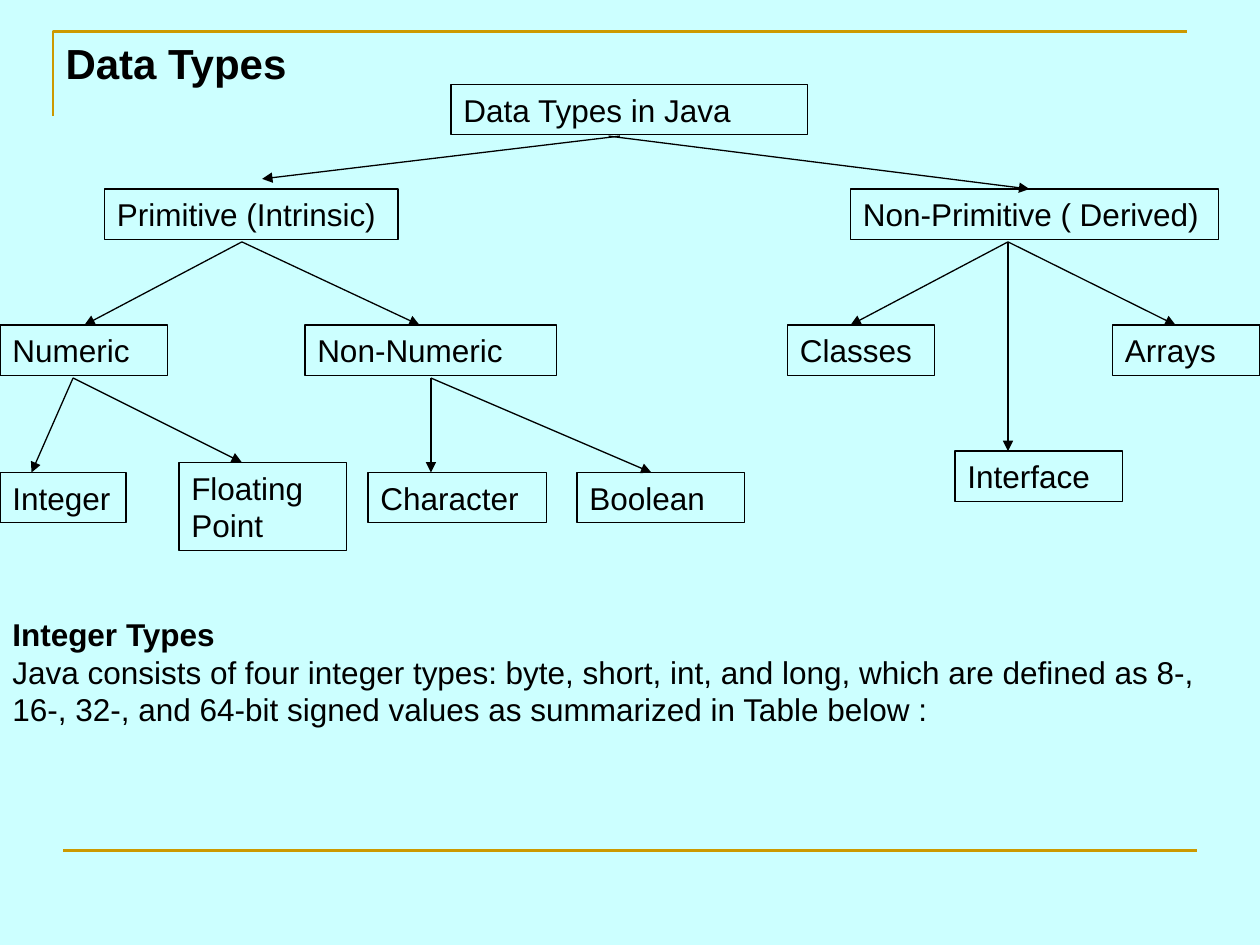
from pptx import Presentation
from pptx.dml.color import RGBColor
from pptx.enum.shapes import MSO_CONNECTOR, MSO_SHAPE
from pptx.enum.text import MSO_ANCHOR, MSO_AUTO_SIZE, PP_ALIGN
from pptx.oxml.ns import qn
from pptx.util import Inches, Pt
from lxml.etree import SubElement

COLORS = {"background": "CCFFFF", "rule": "CC9900", "ink": "000000"}


def write_text(shape, *lines, size=18, bold_first=False):
    """Fill a shape with left-aligned lines, starting at its top."""
    frame = shape.text_frame
    frame.word_wrap = True
    frame.auto_size = MSO_AUTO_SIZE.SHAPE_TO_FIT_TEXT
    frame.vertical_anchor = MSO_ANCHOR.TOP
    for index, line in enumerate(lines):
        para = frame.paragraphs[0] if index == 0 else frame.add_paragraph()
        para.alignment = PP_ALIGN.LEFT
        span = para.add_run()
        span.text = line
        span.font.name = "Arial"
        span.font.size = Pt(size)
        span.font.bold = bold_first and index == 0
        span.font.color.rgb = RGBColor.from_string(COLORS["ink"])


def draw_line(page, start, end, color="ink", width=0.75, arrow=False):
    """Draw a straight line between two points given in inches."""
    points = [Inches(value) for value in (*start, *end)]
    line = page.shapes.add_connector(MSO_CONNECTOR.STRAIGHT, *points)
    line.line.color.rgb = RGBColor.from_string(COLORS[color])
    line.line.width = Pt(width)
    properties = line._element.spPr
    if arrow:
        SubElement(properties.find(qn("a:ln")), qn("a:tailEnd"), type="triangle")
    SubElement(properties, qn("a:effectLst"))


deck = Presentation()
deck.slide_width, deck.slide_height = Inches(10), Inches(7.5)
page = deck.slides.add_slide(deck.slide_layouts[5])
page.background.fill.solid()
page.background.fill.fore_color.rgb = RGBColor.from_string(COLORS["background"])

# Corner frame and bottom rule
builder = page.shapes.build_freeform(Inches(0.42), Inches(0.92))
builder.add_line_segments(
    [(Inches(0.42), Inches(0.25)), (Inches(9.42), Inches(0.25))], close=False)
corner = builder.convert_to_shape()
corner.shadow.inherit = False
corner.fill.background()
corner.line.color.rgb = RGBColor.from_string(COLORS["rule"])
corner.line.width = Pt(1.5)
draw_line(page, (0.5, 6.75), (9.5, 6.75), color="rule", width=1.5)

# Title
title = page.shapes.title
title.left, title.top = Inches(0.42), Inches(0.25)
title.width, title.height = Inches(3.75), Inches(0.5)
write_text(title, "Data Types", size=24, bold_first=True)

# Tree boxes: label, left, top, width, height
BOX_HEIGHT = 0.4
boxes = [
    ("Data Types in Java", 3.58, 0.67, 2.83, BOX_HEIGHT),
    ("Primitive (Intrinsic)", 0.83, 1.5, 2.33, BOX_HEIGHT),
    ("Non-Primitive ( Derived)", 6.75, 1.5, 2.92, BOX_HEIGHT),
    ("Numeric", 0, 2.58, 1.33, BOX_HEIGHT),
    ("Non-Numeric", 2.42, 2.58, 2, BOX_HEIGHT),
    ("Classes", 6.25, 2.58, 1.17, BOX_HEIGHT),
    ("Arrays", 8.83, 2.58, 1.17, BOX_HEIGHT),
    ("Integer", 0, 3.75, 1, BOX_HEIGHT),
    ("Floating Point", 1.42, 3.67, 1.33, 0.7),
    ("Character", 2.92, 3.75, 1.42, BOX_HEIGHT),
    ("Boolean", 4.58, 3.75, 1.33, BOX_HEIGHT),
    ("Interface", 7.58, 3.58, 1.33, BOX_HEIGHT),
]
for label, *bounds in boxes:
    box = page.shapes.add_shape(
        MSO_SHAPE.RECTANGLE, *[Inches(value) for value in bounds])
    box.shadow.inherit = False
    box.fill.background()
    box.line.color.rgb = RGBColor.from_string(COLORS["ink"])
    box.line.width = Pt(0.75)
    write_text(box, label)

# Tree arrows: each start point with the points it leads to
branches = [
    ((4.92, 1.08), [(2.08, 1.42)]),
    ((4.83, 1.08), [(8.17, 1.5)]),
    ((1.92, 1.92), [(0.67, 2.58), (3.33, 2.58)]),
    ((0.58, 3), [(0.25, 3.75), (1.92, 3.67)]),
    ((3.42, 3), [(3.42, 3.75), (5.17, 3.75)]),
    ((8, 1.92), [(6.75, 2.58), (9.33, 2.58), (8, 3.58)]),
]
for start, ends in branches:
    for end in ends:
        draw_line(page, start, end, arrow=True)

# Integer types explanation
explanation = page.shapes.add_textbox(
    Inches(0), Inches(4.83), Inches(10), Inches(1.3))
write_text(
    explanation,
    "Integer Types",
    "Java consists of four integer types: byte, short, int, and long, which are "
    "defined as 8-, 16-, 32-, and 64-bit signed values as summarized in Table below :",
    bold_first=True)

deck.save("out.pptx")
